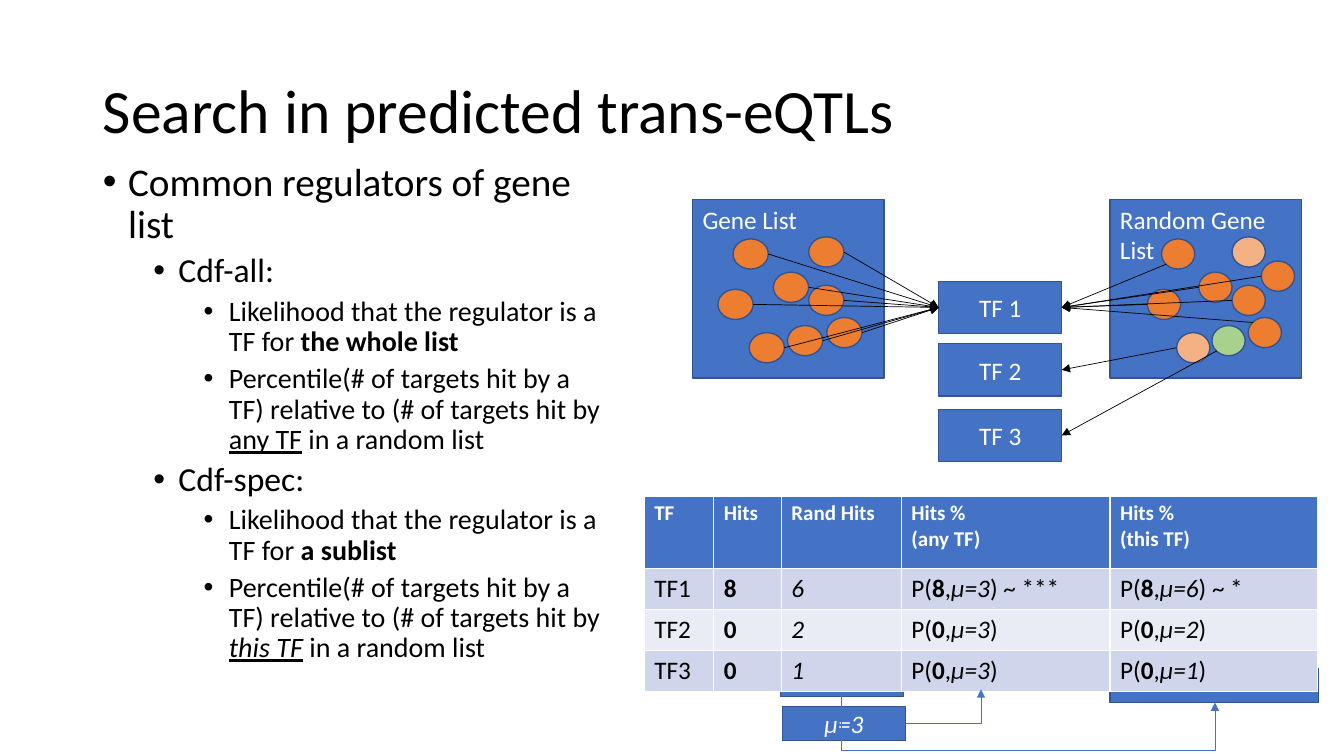
from lxml import etree
from pptx import Presentation
from pptx.dml.color import RGBColor
from pptx.enum.shapes import MSO_CONNECTOR as CONN, MSO_SHAPE as SHAPE
from pptx.enum.text import MSO_ANCHOR as ANCHOR, MSO_AUTO_SIZE as AUTOSIZE, PP_ALIGN as ALIGN
from pptx.oxml.ns import qn
from pptx.util import Inches, Pt

BLUE, EDGE, ORANGE, PEACH, GREEN = "4472C4", "325491", "ED7D31", "F4B183", "A9D18E"
BLACK, WHITE = "000000", "FFFFFF"
BANDS = ("CFD5EA", "E9EBF5")
DOT_H = 0.3

BULLETS = [
    (0, [("Common regulators of gene list", "")]),
    (1, [("Cdf-all:", "")]),
    (2, [("Likelihood that the regulator is a TF for ", ""), ("the whole list", "b")]),
    (2, [("Percentile(# of targets hit by a TF) relative to (# of targets hit by ", ""),
         ("any TF", "u"), (" in a random list", "")]),
    (1, [("Cdf-spec:", "")]),
    (2, [("Likelihood that the regulator is a TF for ", ""), ("a sublist", "b")]),
    (2, [("Percentile(# of targets hit by a TF) relative to (# of targets hit by ", ""),
         ("this TF", "iu"), (" ", "i"), ("in a random list", "")]),
]
LIST_DOTS = [(8.02, 2.35), (7.27, 2.37), (8.02, 2.83), (8.2, 3.15),
             (7.12, 2.87), (7.43, 3.3), (7.81, 3.23), (7.67, 2.7)]
# left, top, colour, TF hit (None for no hit), arrow start within the dot
RANDOM_DOTS = [
    (12.22, 2.35, PEACH, None, None),
    (11.52, 2.37, ORANGE, 0, (0.05, 0.25)),
    (12.22, 2.83, ORANGE, 0, (0, 0.15)),
    (12.38, 3.15, ORANGE, 0, (0.05, 0.05)),
    (11.38, 2.87, ORANGE, 0, (0, 0.15)),
    (11.67, 3.3, PEACH, 1, (0, 0.15)),
    (12.02, 3.23, GREEN, 2, (0.05, 0.25)),
    (11.89, 2.7, ORANGE, 0, (0, 0.15)),
    (12.51, 2.59, ORANGE, 0, (0, 0.15)),
]
HEADER = ["TF", "Hits", "Rand Hits", "Hits %\n(any TF)", "Hits %\n(this TF)"]
HITS = [("TF1", 8, 6, " ~ ***", " ~ *"), ("TF2", 0, 2, "", ""), ("TF3", 0, 1, "", "")]


def rgb(color):
    return RGBColor.from_string(color)


def add_runs(p, runs, size, color):
    """Add (text, style) runs; style holds any of the letters b, i and u."""
    for text, style in runs:
        r = p.add_run()
        r.text = text
        f = r.font
        f.name, f.size, f.color.rgb = "Calibri", Pt(size), rgb(color)
        f.bold, f.italic, f.underline = "b" in style, "i" in style, "u" in style


def place(sp, x, y, w, h):
    sp.left, sp.top, sp.width, sp.height = (Inches(v) for v in (x, y, w, h))


def add_box(shapes, box, fill=BLUE, kind=SHAPE.RECTANGLE, text="", style="",
            align=ALIGN.CENTER, anchor=ANCHOR.MIDDLE):
    sp = shapes.add_shape(kind, *(Inches(v) for v in box))
    sp.shadow.inherit = False
    sp.fill.solid()
    sp.fill.fore_color.rgb = rgb(fill)
    sp.line.color.rgb = rgb(EDGE)
    sp.line.width = Pt(1)
    if text:
        tf = sp.text_frame
        tf.word_wrap, tf.vertical_anchor = True, anchor
        p = tf.paragraphs[0]
        p.alignment = align
        add_runs(p, [(text, style)], 18, WHITE)
    return sp


def add_arrow(s, start, end, color=BLACK, kind=CONN.STRAIGHT):
    c = s.shapes.add_connector(kind, *(Inches(v) for v in (*start, *end)))
    c.line.color.rgb = rgb(color)
    c.line.width = Pt(0.5)
    etree.SubElement(c.line._get_or_add_ln(), qn("a:tailEnd"), type="triangle")
    etree.SubElement(c._element.spPr, qn("a:effectLst"))
    return c


def add_gene_box(s, x, label, dots, dot_w):
    """Group a labelled gene list with its (left, top, colour) dots."""
    shapes = s.shapes.add_group_shape().shapes
    add_box(shapes, (x, 1.98, 1.9, 1.77), text=label, align=ALIGN.LEFT, anchor=ANCHOR.TOP)
    for left, top, color in dots:
        add_box(shapes, (left, top, dot_w, DOT_H), color, SHAPE.OVAL)


def fill_title(title):
    place(title, 0.92, 0.4, 11.5, 1.45)
    tf = title.text_frame
    tf.auto_size, tf.vertical_anchor = AUTOSIZE.NONE, ANCHOR.MIDDLE
    p = tf.paragraphs[0]
    p.alignment, p.line_spacing = ALIGN.LEFT, 0.9
    add_runs(p, [("Search in predicted trans-eQTLs", "")], 44, BLACK)


def fill_body(body):
    place(body, 0.92, 1.56, 5.21, 5.54)
    tf = body.text_frame
    tf.auto_size = AUTOSIZE.NONE
    for n, (level, runs) in enumerate(BULLETS):
        p = tf.add_paragraph() if n else tf.paragraphs[0]
        p.level, p.line_spacing = level, 0.9
        p.space_before = Pt(5 if level else 10)
        pPr = p._p.get_or_add_pPr()
        pPr.set("marL", str(Inches(0.25 + 0.5 * level)))
        pPr.set("indent", str(Inches(-0.25)))
        etree.SubElement(pPr, qn("a:buFont"), typeface="Arial")
        etree.SubElement(pPr, qn("a:buChar"), char="•")
        add_runs(p, runs, 28 - 4 * level, BLACK)


def fill_cell(cell, lines, fill, size, color):
    cell.fill.solid()
    cell.fill.fore_color.rgb = rgb(fill)
    tf = cell.text_frame
    for n, runs in enumerate(lines):
        p = tf.add_paragraph() if n else tf.paragraphs[0]
        add_runs(p, runs, size, color)


def probability(hits, mean, stars):
    return [("P(", ""), (str(hits), "b"), (",", ""), (f"μ={mean}", "i"), (")" + stars, "")]


def add_hits_table(s):
    table = s.shapes.add_table(4, 5, Inches(6.39), Inches(4.92),
                               Inches(6.68), Inches(1.92)).table
    for col, w in zip(table.columns, (0.69, 0.67, 1.19, 2.07, 2.06)):
        col.width = Inches(w)
    for row, h in zip(table.rows, (0.72, 0.4, 0.4, 0.4)):
        row.height = Inches(h)
    for c, text in enumerate(HEADER):
        lines = [[(line, "b")] for line in text.split("\n")]
        fill_cell(table.cell(0, c), lines, BLUE, 15, WHITE)
    for r, (name, hits, rand, any_stars, this_stars) in enumerate(HITS):
        cells = [[(name, "")], [(str(hits), "b")], [(str(rand), "i")],
                 probability(hits, 3, any_stars), probability(hits, rand, this_stars)]
        for c, runs in enumerate(cells):
            fill_cell(table.cell(r + 1, c), [runs], BANDS[r % 2], 18, BLACK)


def add_mean_links(s):
    """Add the mean box and the elbow arrows below the table."""
    add_box(s.shapes, (7.76, 7.01, 1.22, 0.34), text="μ=3", style="i")
    to_any = add_arrow(s, (8.98, 7.18), (9.73, 6.84), BLUE, CONN.ELBOW)
    to_any._element.spPr.prstGeom.set("prst", "bentConnector2")

    to_this = add_arrow(s, (10.23, 5.09), (10.17, 8.79), BLUE, CONN.ELBOW)
    spPr = to_this._element.spPr
    spPr.xfrm.set("rot", str(270 * 60000))
    guides = spPr.prstGeom.get_or_add_avLst()
    etree.SubElement(guides, qn("a:gd"), name="adj1", fmla="val 900000")


def main():
    prs = Presentation()
    prs.slide_width, prs.slide_height = Inches(13.33), Inches(7.5)
    s = prs.slides.add_slide(prs.slide_layouts[1])
    fill_title(s.shapes.title)
    fill_body(s.placeholders[1])

    add_box(s.shapes, (7.74, 6.57, 1.22, 0.34))
    add_box(s.shapes, (11.01, 6.63, 2.07, 0.34))
    add_gene_box(s, 6.87, "Gene List", [(x, y, ORANGE) for x, y in LIST_DOTS], 0.35)
    add_gene_box(s, 11.01, "Random Gene List", [dot[:3] for dot in RANDOM_DOTS], 0.33)

    tops = (2.79, 3.41, 4.06)
    factors = [add_box(s.shapes, (9.31, y, 1.22, 0.52), text=f"TF {n}")
               for n, y in enumerate(tops, 1)]
    for x, y in LIST_DOTS:
        arrow = add_arrow(s, (x + 0.35, y + DOT_H / 2), (9.31, 3.05))
        arrow.end_connect(factors[0], 1)
    for x, y, _, hit, start in RANDOM_DOTS:
        if hit is not None:
            arrow = add_arrow(s, (x + start[0], y + start[1]), (10.53, tops[hit] + 0.26))
            arrow.end_connect(factors[hit], 3)

    add_hits_table(s)
    add_mean_links(s)
    prs.save("out.pptx")


if __name__ == "__main__":
    main()
